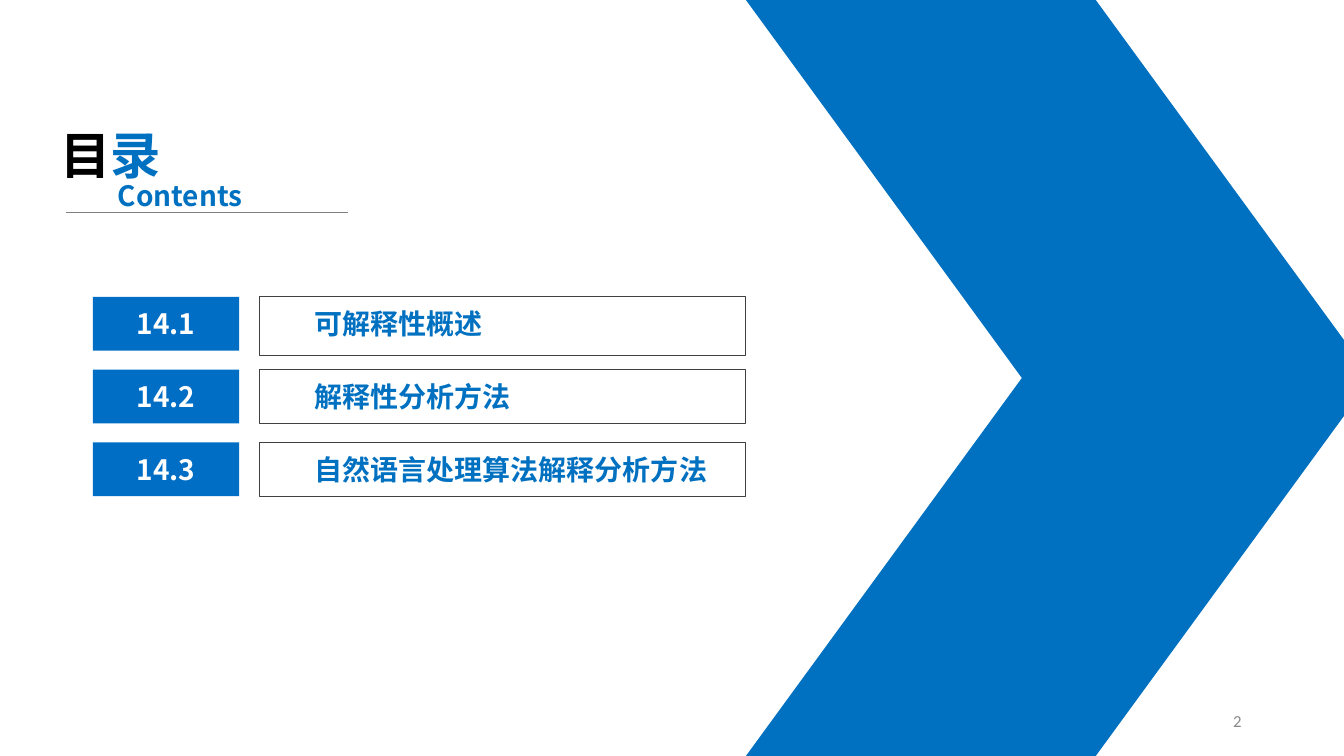
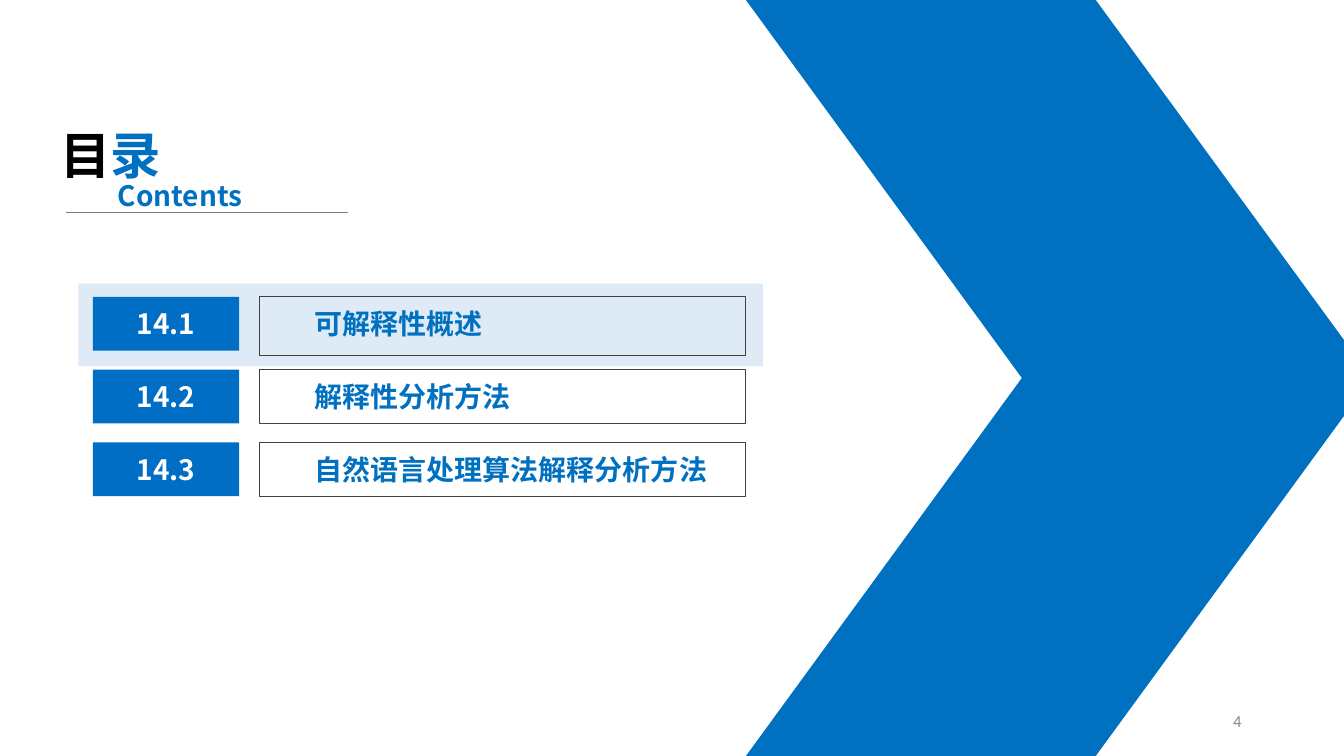
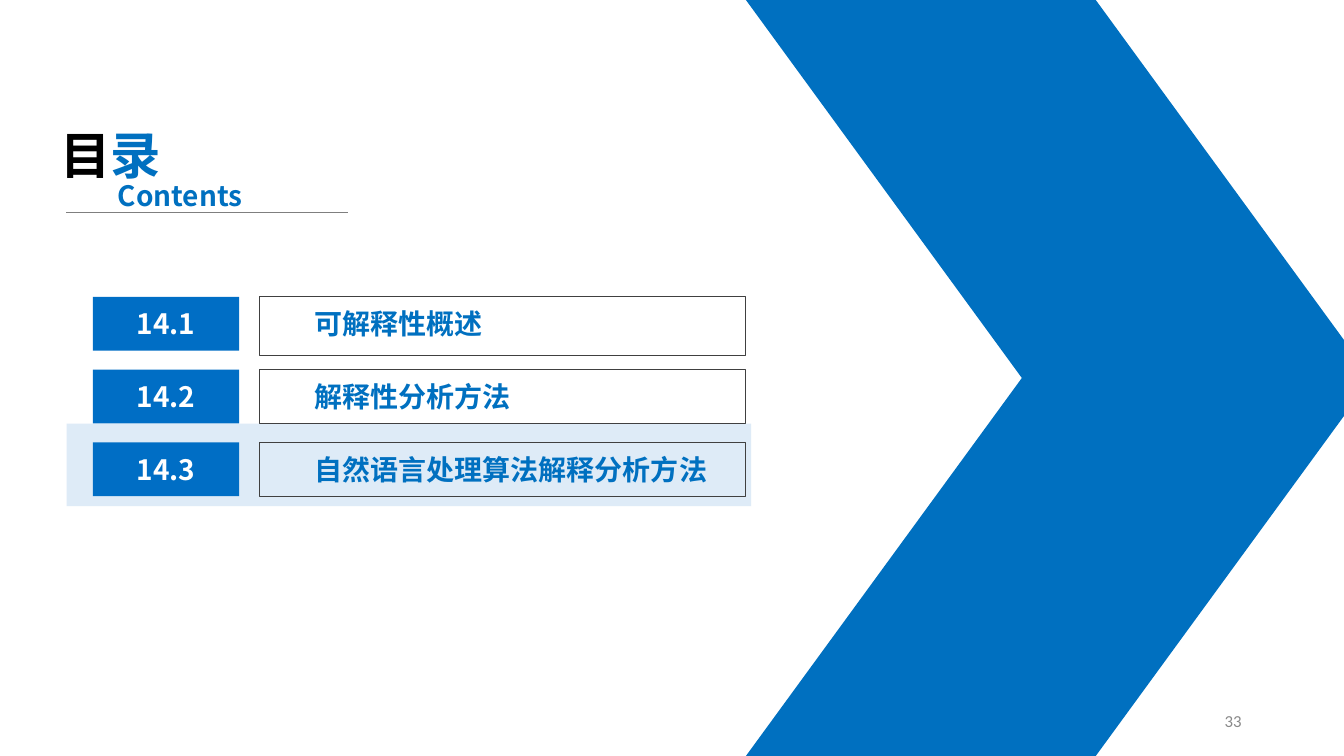
from lxml import etree
from pptx import Presentation
from pptx.dml.color import RGBColor
from pptx.enum.shapes import MSO_CONNECTOR, MSO_SHAPE
from pptx.enum.text import MSO_ANCHOR, PP_ALIGN
from pptx.oxml.ns import qn
from pptx.util import Pt

RECTANGLE, PARALLELOGRAM = MSO_SHAPE.RECTANGLE, MSO_SHAPE.PARALLELOGRAM
STRAIGHT = MSO_CONNECTOR.STRAIGHT
TOP, MIDDLE = MSO_ANCHOR.TOP, MSO_ANCHOR.MIDDLE
LEFT, CENTER, RIGHT = PP_ALIGN.LEFT, PP_ALIGN.CENTER, PP_ALIGN.RIGHT

WIDTH, HEIGHT = 960, 540
BLUE, BADGE_BLUE, PALE_BLUE = "0070C0", "006EC5", "DEEBF7"
BLACK, WHITE, OUTLINE, RULE, FOOTER = "000000", "FFFFFF", "404040", "7F7F7F", "898989"
HEADING_FONT, NUMBER_FONT = "Noto Sans CJK SC", "Calibri"

CHAPTERS = [
    ("14.1", "可解释性概述", 42),
    ("14.2", "解释性分析方法", 38.5),
    ("14.3", "自然语言处理算法解释分析方法", 38.5),
]
ROW_TOP, ROW_STEP, BADGE_HEIGHT = 212, 52, 38.5
SLIDES = [("2", None), ("4", (56, 202.5)), ("33", (47.5, 302.5))]


def color(value):
    return RGBColor.from_string(value)


class Deck:
    """Hold the contents style and the current slide."""

    def __init__(self):
        self.presentation = Presentation()
        self.presentation.slide_width = Pt(WIDTH)
        self.presentation.slide_height = Pt(HEIGHT)
        self.slide = None

    def new_slide(self):
        self.slide = self.presentation.slides.add_slide(self.presentation.slide_layouts[6])

    def shape(self, kind, left, top, width, height, fill=None, line=None):
        shape = self.slide.shapes.add_shape(kind, Pt(left), Pt(top), Pt(width), Pt(height))
        shape.shadow.inherit = False
        if fill:
            shape.fill.solid()
            shape.fill.fore_color.rgb = color(fill)
        else:
            shape.fill.background()
        if line:
            shape.line.color.rgb = color(line)
            shape.line.width = Pt(0.75)
        else:
            shape.line.fill.background()
        return shape

    def add_runs(self, shape, runs, size, align=LEFT, anchor=TOP, font=HEADING_FONT, bold=True):
        frame = shape.text_frame
        frame.word_wrap = True
        frame.vertical_anchor = anchor
        paragraph = frame.paragraphs[0]
        paragraph.alignment = align
        for text, run_color in runs:
            run = paragraph.add_run()
            run.text = text
            run.font.size = Pt(size)
            run.font.bold = bold
            run.font.color.rgb = color(run_color)
            run.font.name = font
            etree.SubElement(run.font._element, qn("a:ea"), typeface=font)

    def text(self, left, top, width, height, runs, size, **style):
        box = self.slide.shapes.add_textbox(Pt(left), Pt(top), Pt(width), Pt(height))
        self.add_runs(box, runs, size, **style)

    def rule(self, left, right, top):
        line = self.slide.shapes.add_connector(STRAIGHT, Pt(left), Pt(top), Pt(right), Pt(top))
        line.line.color.rgb = color(RULE)
        line.line.width = Pt(0.5)
        etree.SubElement(line._element.spPr, qn("a:effectLst"))

    def chevron(self):
        for top, flipped in ((HEIGHT / 2, False), (0, True)):
            half = self.shape(PARALLELOGRAM, 532.8, top, 447, HEIGHT / 2, fill=BLUE)
            half.adjustments[0] = 0.73
            if flipped:
                half._element.spPr.get_or_add_xfrm().set("flipV", "1")

    def heading(self):
        self.text(36, 85, 113, 51, [("目", BLACK), ("录", BLUE)], 36)
        self.rule(47.5, 248.4, 151.8)
        self.text(77, 123.8, 113, 31.5, [("Contents", BLUE)], 20)

    def chapter(self, top, number, title, height):
        label = self.shape(RECTANGLE, 185.6, top, 347, height, line=OUTLINE)
        label.text_frame.margin_left = Pt(39)
        label.text_frame.margin_top = Pt(7.2)
        self.add_runs(label, [(title, BLUE)], 20)
        badge = self.shape(RECTANGLE, 66.3, top, 104.6, BADGE_HEIGHT, fill=BADGE_BLUE)
        self.add_runs(badge, [(number, WHITE)], 20, align=CENTER, anchor=MIDDLE)

    def page_number(self, number):
        self.text(678, 500.5, 216, 28.8, [(number, FOOTER)], 12,
                  align=RIGHT, anchor=MIDDLE, font=NUMBER_FONT, bold=False)

    def contents(self, number, highlight):
        self.new_slide()
        if highlight:
            self.shape(RECTANGLE, *highlight, 489, 59, fill=PALE_BLUE)
        self.chevron()
        for index, chapter in enumerate(CHAPTERS):
            self.chapter(ROW_TOP + index * ROW_STEP, *chapter)
        self.heading()
        self.page_number(number)


def main():
    deck = Deck()
    for number, highlight in SLIDES:
        deck.contents(number, highlight)
    deck.presentation.save("out.pptx")


if __name__ == "__main__":
    main()
